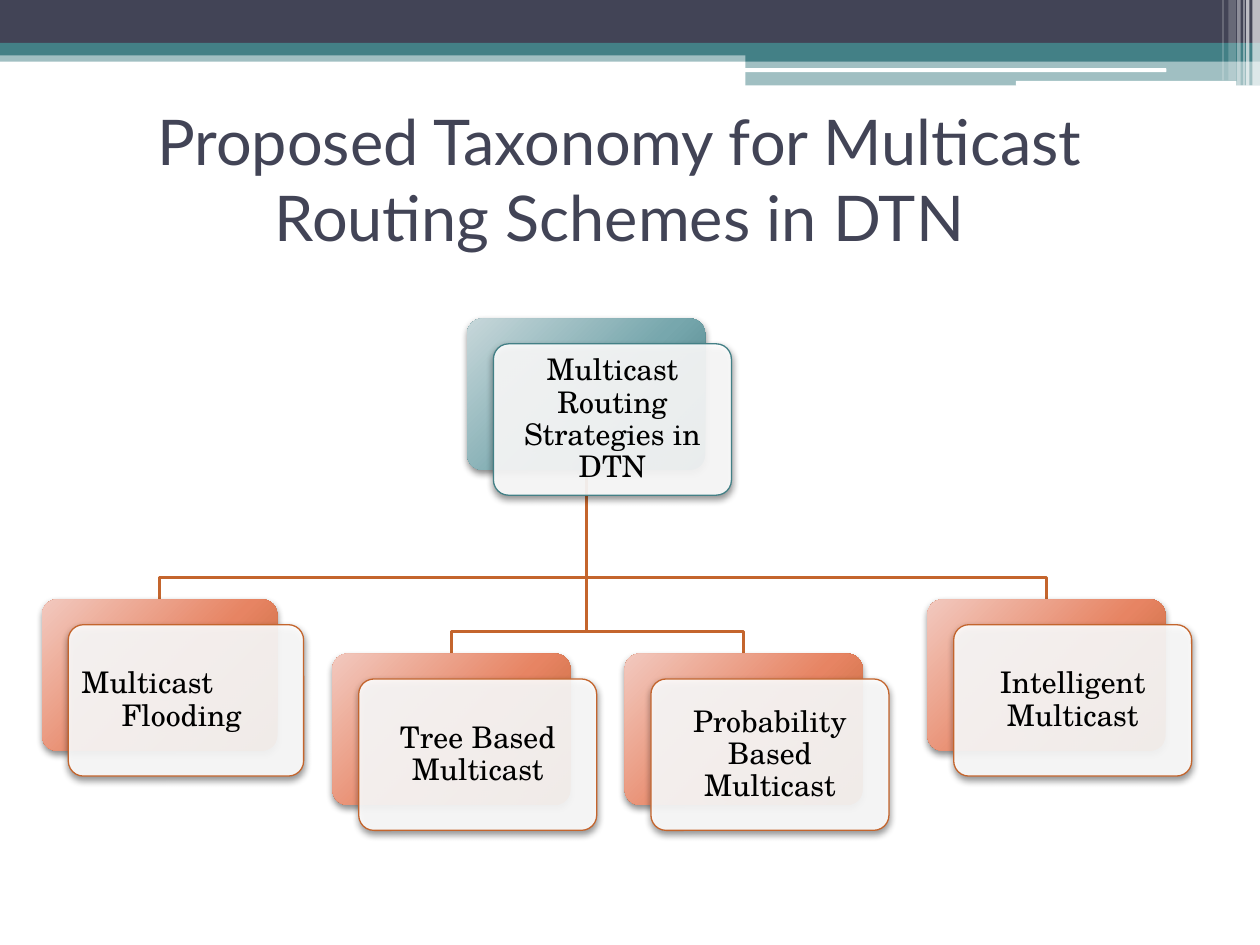
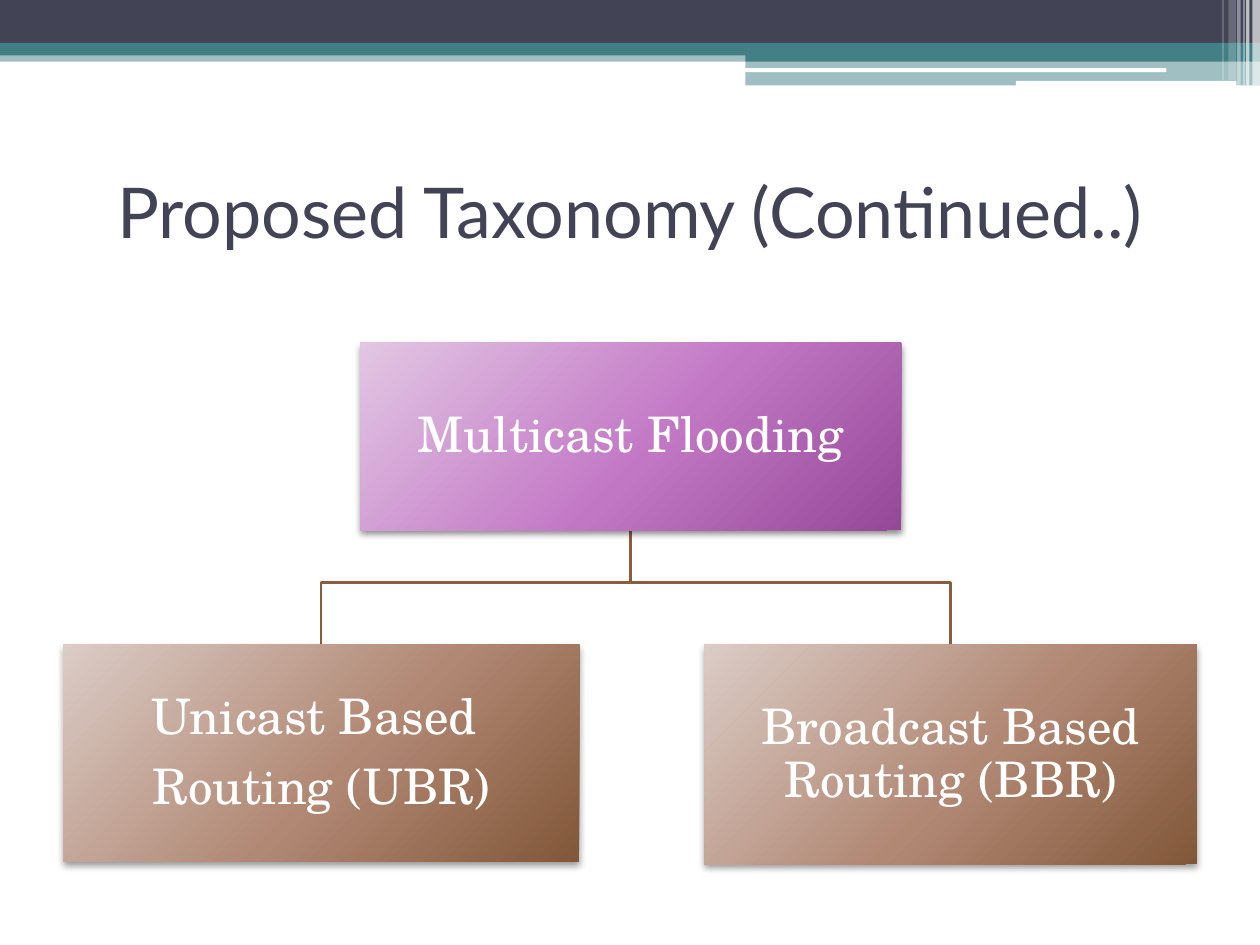
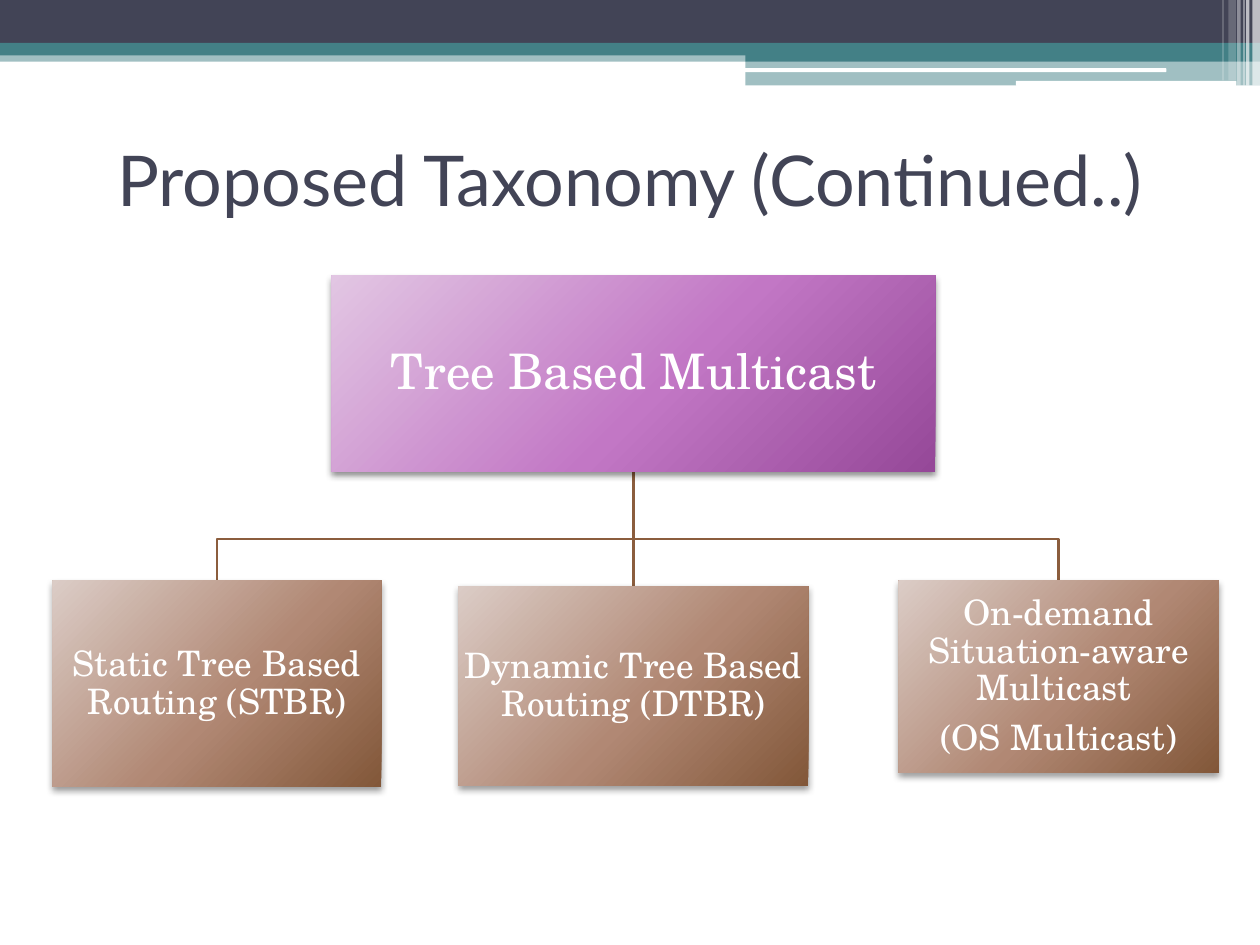
from dataclasses import dataclass

from lxml.etree import SubElement
from pptx import Presentation
from pptx.dml.color import RGBColor
from pptx.enum.shapes import MSO_CONNECTOR, MSO_SHAPE
from pptx.enum.text import MSO_ANCHOR, PP_ALIGN
from pptx.oxml import parse_xml
from pptx.oxml.ns import nsdecls, qn
from pptx.util import Pt


@dataclass(frozen=True)
class Theme:
    # Colours
    ink: str = "424456"
    teal: str = "438086"
    white: str = "FFFFFF"
    black: str = "000000"
    orange: str = "C4652D"
    brown: str = "8B5D3D"
    # Gradients, from light to dark
    teal_fade: tuple = ("C7D7DA", "77A7AD", "3E777D")
    orange_fade: tuple = ("F2C9BF", "E78463", "B75E2A")
    purple_fade: tuple = ("E2C6E3", "C277C5", "954898")
    brown_fade: tuple = ("DBCCC6", "B18874", "825739")
    # Type
    title_font: str = "Lato"
    body_font: str = "TeX Gyre Schola"
    long_title_size: int = 36
    title_size: int = 40
    card_size: int = 17
    box_size: int = 28
    small_box_size: int = 20


T = Theme()
RECT, ROUND = MSO_SHAPE.RECTANGLE, MSO_SHAPE.ROUNDED_RECTANGLE
CARD_W, CARD_H = 136, 86.5
CARD_DX, CARD_DY = 15, 14.5


# Fills, lines and shadows

def set_fill(sp, colour, alpha=100):
    sp.fill.solid()
    sp.fill.fore_color.rgb = RGBColor.from_string(colour)
    if alpha < 100:
        clr = sp.element.spPr.find(qn("a:solidFill"))[0]
        SubElement(clr, qn("a:alpha")).set("val", str(alpha * 1000))


def set_fade(sp, colours):
    """Circular gradient that spreads from beyond the top left corner."""
    stops = "".join(
        f'<a:gs pos="{pos * 1000}"><a:srgbClr val="{c}"/></a:gs>'
        for pos, c in zip((0, 55, 100), colours))
    fade = parse_xml(
        f'<a:gradFill {nsdecls("a")} rotWithShape="1"><a:gsLst>{stops}</a:gsLst>'
        '<a:path path="circle"><a:fillToRect l="-40000" t="-90000" '
        'r="140000" b="190000"/></a:path></a:gradFill>')
    sp.fill.solid()
    spPr = sp.element.spPr
    spPr.replace(spPr.find(qn("a:solidFill")), fade)


def set_line(sp, colour, width):
    sp.line.color.rgb = RGBColor.from_string(colour)
    sp.line.width = Pt(width)


def add_shadow(sp, alpha=45):
    sp.element.spPr.find(qn("a:effectLst")).append(parse_xml(
        f'<a:outerShdw {nsdecls("a")} blurRad="{Pt(4)}" dist="{Pt(2)}" '
        'dir="5400000" algn="ctr" rotWithShape="0"><a:srgbClr val="000000">'
        f'<a:alpha val="{alpha * 1000}"/></a:srgbClr></a:outerShdw>'))


# Text and shapes

def write(sp, text, font, size, colour, inset=None, spacing=None):
    tf = sp.text_frame
    tf.word_wrap = True
    tf.vertical_anchor = MSO_ANCHOR.MIDDLE
    if inset is not None:
        tf.margin_left = tf.margin_right = Pt(inset)
        tf.margin_top = tf.margin_bottom = Pt(inset)
    tf.text = text
    for p in tf.paragraphs:
        p.alignment = PP_ALIGN.CENTER
        if spacing:
            p.line_spacing = spacing
            p.space_after = Pt(0.35 * size)
        for r in p.runs:
            r.font.name = font
            r.font.size = Pt(size)
            r.font.color.rgb = RGBColor.from_string(colour)


def add_shape(s, kind, x, y, w, h):
    sp = s.shapes.add_shape(kind, Pt(x), Pt(y), Pt(w), Pt(h))
    sp.shadow.inherit = False
    sp.line.fill.background()
    return sp


def add_title(s, text, x, y, size):
    sp = s.shapes.add_textbox(Pt(x), Pt(y), Pt(648), Pt(84))
    write(sp, text, T.title_font, size, T.ink)


def add_box(s, text, place, fade, size, inset=1.4, shadow=45):
    sp = add_shape(s, RECT, *place)
    set_fade(sp, fade)
    add_shadow(sp, shadow)
    write(sp, text, T.body_font, size, T.white, inset, 0.9)


def add_card(s, text, place, fade, edge):
    """A gradient card with a pale, outlined card in front of it."""
    x, y, w, h = place
    back = add_shape(s, ROUND, x, y, w, h)
    set_fade(back, fade)
    front = add_shape(s, ROUND, x + CARD_DX, y + CARD_DY, w, h)
    set_fill(front, T.white, 90)
    set_line(front, edge, 0.75)
    for sp in (back, front):
        sp.adjustments[0] = 0.1
        add_shadow(sp)
    write(front, text, T.body_font, T.card_size, T.black, 5, 0.9)
    return front


# Tree branches

def add_branch(s, parent, child, drop, colour):
    """Line from the parent's foot to the child's top, bending drop above it."""
    x0, y0 = parent[0] + parent[2] / 2, parent[1] + parent[3]
    x1, y1 = child[0] + child[2] / 2, child[1]
    if x0 == x1:
        sp = s.shapes.add_connector(
            MSO_CONNECTOR.STRAIGHT, Pt(x0), Pt(y0), Pt(x1), Pt(y1))
        SubElement(sp.element.spPr, qn("a:effectLst"))
    else:
        fb = s.shapes.build_freeform(Pt(x0), Pt(y0))
        bends = [(x0, y1 - drop), (x1, y1 - drop), (x1, y1)]
        fb.add_line_segments([(Pt(x), Pt(y)) for x, y in bends], close=False)
        sp = fb.convert_to_shape()
        sp.shadow.inherit = False
        sp.fill.background()
    set_line(sp, colour, 1.5)


def add_branches(s, parent, children, drop, colour):
    for child in children:
        add_branch(s, parent, child, drop, colour)


# Header bands, kept on the layout that all slides share

def add_header(s):
    bands = [
        (RECT, 0, 28.8, 720, 6.5, T.teal, 50),
        (RECT, 0, 0, 720, 24.5, T.ink, 100),
        (RECT, 0, 24.5, 720, 7.2, T.teal, 100),
        (RECT, 426, 28, 294, 7.2, T.teal, 100),
        (RECT, 426, 35.2, 294, 13.6, T.teal, 50),
        (ROUND, 425.5, 39, 241, 2.2, T.white, 100),
        (ROUND, 580.5, 46.2, 126, 2.9, T.white, 100),
    ]
    stripes = [(715.7, 4.3, 49, 65), (712, 2, 49, 65), (710.5, 0.7, 49, 60),
               (707, 2, 49, 40), (702, 4.3, 46, 20), (698.5, 0.7, 46, 30)]
    bands += [(RECT, x, 0, w, h, T.white, alpha) for x, w, h, alpha in stripes]
    for kind, x, y, w, h, colour, alpha in bands:
        sp = add_shape(s, kind, x, y, w, h)
        set_fill(sp, colour, alpha)
        s.slide_layout.shapes.element.append(sp.element)


# Slides

def build_overview(s):
    add_title(s, "Proposed Taxonomy for Multicast Routing Schemes in DTN",
              30, 60, T.long_title_size)
    root = (267, 182, CARD_W, CARD_H)
    outer_y, inner_y = 342.5, 373.5
    schemes = {
        "Multicast Flooding": (24, outer_y, 134.5, CARD_H),
        "Tree Based Multicast": (190, inner_y, CARD_W, CARD_H),
        "Probability Based Multicast": (357, inner_y, CARD_W, CARD_H),
        "Intelligent Multicast": (530, outer_y, CARD_W, CARD_H),
    }
    add_branches(s, root, schemes.values(), 12.5, T.orange)
    add_card(s, "Multicast Routing Strategies in DTN", root, T.teal_fade, T.teal)
    cards = [add_card(s, text, place, T.orange_fade, T.orange)
             for text, place in schemes.items()]

    # The flooding card has a hanging second line
    p = cards[0].text_frame.paragraphs[0]
    p.alignment = PP_ALIGN.LEFT
    pPr = p._p.get_or_add_pPr()
    pPr.set("marL", str(Pt(23)))
    pPr.set("indent", str(-Pt(23)))


def build_tree(s, title_y, root_text, root, children, drop, size, inset):
    add_title(s, "Proposed Taxonomy (Continued..)", 36, title_y, T.title_size)
    add_branches(s, root, children.values(), drop, T.brown)
    add_box(s, root_text, root, T.purple_fade, T.box_size)
    for text, place in children.items():
        add_box(s, text, place, T.brown_fade, size, inset, shadow=40)


def main():
    prs = Presentation()
    prs.slide_width, prs.slide_height = Pt(720), Pt(540)
    overview, flooding, trees = [
        prs.slides.add_slide(prs.slide_layouts[6]) for _ in range(3)]
    add_header(overview)

    build_overview(overview)
    build_tree(flooding, 78, "Multicast Flooding", (206, 196, 309, 107), {
        "Unicast Based \nRouting (UBR)": (36, 368.5, 295, 124),
        "Broadcast Based Routing (BBR)": (402.5, 368.5, 281.5, 125.5),
    }, 35.5, T.box_size, 1.4)
    build_tree(trees, 60, "Tree Based Multicast", (189.5, 157.5, 345, 112), {
        "Static Tree Based Routing (STBR)": (30, 332, 188, 117.5),
        "Dynamic Tree Based Routing (DTBR)": (262, 335, 200, 114),
        "On-demand Situation-aware Multicast \n(OS Multicast)":
            (513.5, 332, 183, 109.5),
    }, 24, T.small_box_size, 0.9)

    prs.save("out.pptx")


main()
